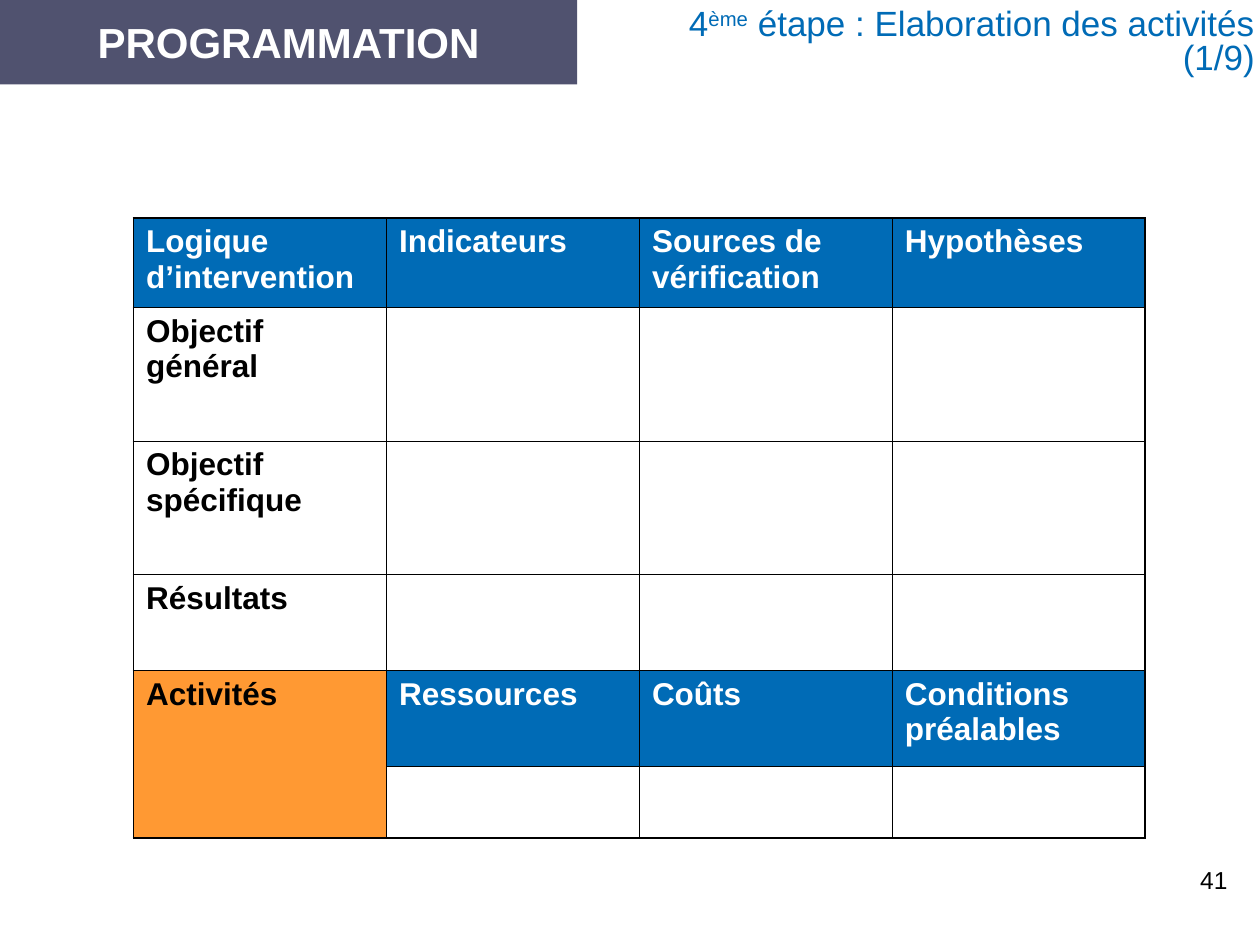
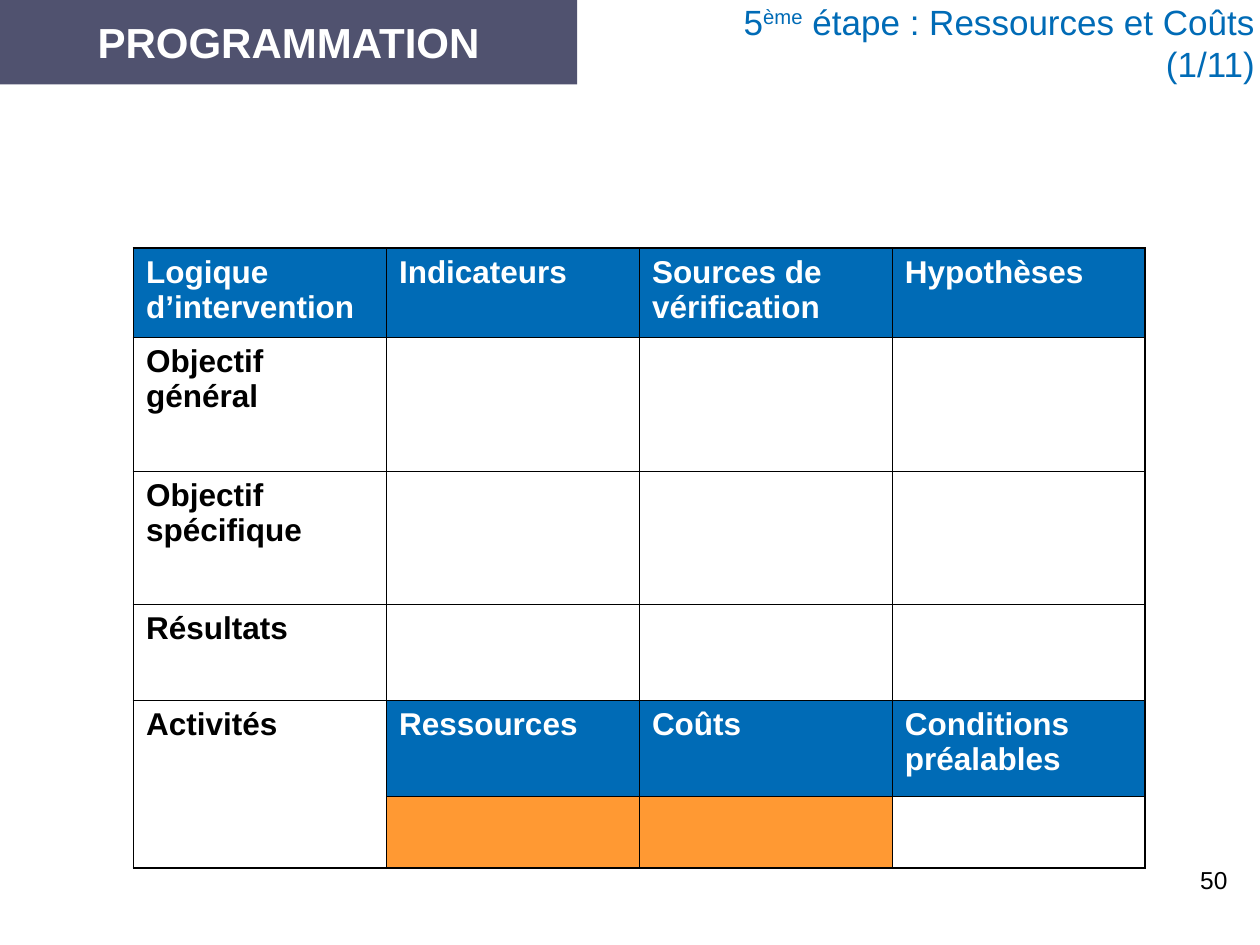
from dataclasses import dataclass

from lxml import etree
from pptx import Presentation
from pptx import util as u
from pptx.dml.color import RGBColor
from pptx.enum import shapes, text
from pptx.oxml import ns


@dataclass(frozen=True)
class Theme:
    font: str = "Arial"
    band: str = "50526F"
    blue: str = "006BB6"
    orange: str = "FF9933"
    white: str = "FFFFFF"
    black: str = "000000"
    band_size: float = 24
    title_size: float = 20
    table_size: float = 18
    number_size: float = 14
    outer_line: float = 1.08
    inner_line: float = 0.45


# Logical framework shared by both slides
FRAMEWORK = [
    ["Logique d’intervention", "Indicateurs", "Sources de vérification", "Hypothèses"],
    ["Objectif général", "", "", ""],
    ["Objectif spécifique", "", "", ""],
    ["Résultats", "", "", ""],
    ["Activités", "Ressources", "Coûts", "Conditions préalables"],
    ["", "", "", ""],
]
ROW_HEIGHTS = [0.71, 1.06, 1.06, 0.76, 0.76, 0.57]
TABLE_LEFT, TABLE_WIDTH = 1.06, 8.03
HEADINGS = {(0, column) for column in range(4)} | {(4, column) for column in range(1, 4)}
ACTIVITIES, LAST_ROW = (4, 0), (5, 0)


class Deck:
    def __init__(self, theme):
        self.theme = theme
        self.prs = Presentation()
        self.prs.slide_width, self.prs.slide_height = u.Inches(10), u.Inches(7.5)
        self.slide = None

    def new_slide(self):
        self.slide = self.prs.slides.add_slide(self.prs.slide_layouts[5])

    def style(self, paragraph, size, color, bold=False, align=text.PP_ALIGN.LEFT):
        paragraph.alignment = align
        font = paragraph.font
        font.name, font.size, font.bold = self.theme.font, u.Pt(size), bold
        font.color.rgb = RGBColor.from_string(color)

    def band(self, label):
        band = self.slide.shapes.add_shape(
            shapes.MSO_SHAPE.RECTANGLE, 0, 0, u.Inches(4.58), u.Inches(0.67))
        band.shadow.inherit = False
        band.fill.solid()
        band.fill.fore_color.rgb = RGBColor.from_string(self.theme.band)
        band.line.fill.background()
        frame = band.text_frame
        frame.vertical_anchor = text.MSO_ANCHOR.MIDDLE
        frame.text = label
        self.style(frame.paragraphs[0], self.theme.band_size, self.theme.white,
                   True, text.PP_ALIGN.CENTER)

    def title(self, step, wording, left, top, width, height, spacing):
        title = self.slide.shapes.title
        title.left, title.top = u.Inches(left), u.Inches(top)
        title.width, title.height = u.Inches(width), u.Inches(height)
        frame = title.text_frame
        frame.word_wrap = True
        frame.auto_size = text.MSO_AUTO_SIZE.NONE
        frame.vertical_anchor = text.MSO_ANCHOR.TOP
        frame.margin_left = frame.margin_top = frame.margin_bottom = 0
        frame.margin_right = u.Inches(0.04)
        heading = frame.paragraphs[0]
        heading.line_spacing = spacing
        self.style(heading, self.theme.title_size, self.theme.blue,
                   align=text.PP_ALIGN.RIGHT)
        number, ordinal, rest = (heading.add_run() for _ in range(3))
        number.text, ordinal.text, rest.text = step, "ème", f" étape : {wording}"
        ordinal._r.get_or_add_rPr().set("baseline", "30000")

    def borders(self, cell, row, column):
        outer_edges = {
            "lnL": column == 0,
            "lnR": column == len(FRAMEWORK[0]) - 1,
            "lnT": row == 0,
            "lnB": row == len(FRAMEWORK) - 1 or (row, column) == ACTIVITIES,
        }
        properties = cell._tc.get_or_add_tcPr()
        for edge, outer in outer_edges.items():
            weight = self.theme.outer_line if outer else self.theme.inner_line
            line = etree.SubElement(properties, ns.qn(f"a:{edge}"), w=str(int(u.Pt(weight))))
            fill = etree.SubElement(line, ns.qn("a:solidFill"))
            etree.SubElement(fill, ns.qn("a:srgbClr"), val=self.theme.black)

    def framework(self, top, highlights):
        columns = len(FRAMEWORK[0])
        table = self.slide.shapes.add_table(
            len(FRAMEWORK), columns, u.Inches(TABLE_LEFT), u.Inches(top),
            u.Inches(TABLE_WIDTH), u.Inches(sum(ROW_HEIGHTS))).table
        table.first_row = table.horz_banding = False
        for column in table.columns:
            column.width = u.Inches(TABLE_WIDTH / columns)
        for row, height in zip(table.rows, ROW_HEIGHTS):
            row.height = u.Inches(height)
        for row, labels in enumerate(FRAMEWORK):
            for column, label in enumerate(labels):
                self.cell(table.cell(row, column), row, column, label, highlights)
        table.cell(*ACTIVITIES).merge(table.cell(*LAST_ROW))

    def cell(self, cell, row, column, label, highlights):
        heading = (row, column) in HEADINGS
        self.borders(cell, row, column)
        if heading or (row, column) in highlights:
            cell.fill.solid()
            cell.fill.fore_color.rgb = RGBColor.from_string(
                self.theme.blue if heading else self.theme.orange)
        else:
            cell.fill.background()
        cell.margin_left = cell.margin_right = u.Inches(0.06)
        cell.margin_top = cell.margin_bottom = u.Inches(0.05)
        entry = cell.text_frame.paragraphs[0]
        if label:
            entry.text = label
        # Left indent shared by all entries
        entry._p.get_or_add_pPr().set("marL", str(int(u.Inches(0.04))))
        self.style(entry, self.theme.table_size,
                   self.theme.white if heading else self.theme.black, True)

    def page_number(self, number):
        box = self.slide.shapes.add_textbox(
            u.Inches(7.76), u.Inches(6.82), u.Inches(2.08), u.Inches(0.5))
        frame = box.text_frame
        frame.word_wrap = True
        frame.text = str(number)
        self.style(frame.paragraphs[0], self.theme.number_size, self.theme.black,
                   align=text.PP_ALIGN.RIGHT)


def build_step(deck, title, table_top, highlights, number):
    deck.new_slide()
    deck.band("PROGRAMMATION")
    deck.title(*title)
    deck.framework(table_top, highlights)
    deck.page_number(number)


def main():
    deck = Deck(Theme())

    # Step 4: activities highlighted
    build_step(deck, ("4", "Elaboration des activités (1/9)", 5, 0.08, 5, 0.68, 0.8),
               1.73, {ACTIVITIES}, 41)

    # Step 5: resources and costs highlighted
    build_step(deck, ("5", "Ressources et Coûts (1/11)", 5.24, 0, 4.76, 0.74, 1.0),
               1.97, {(5, 1), (5, 2)}, 50)

    deck.prs.save("out.pptx")


if __name__ == "__main__":
    main()
